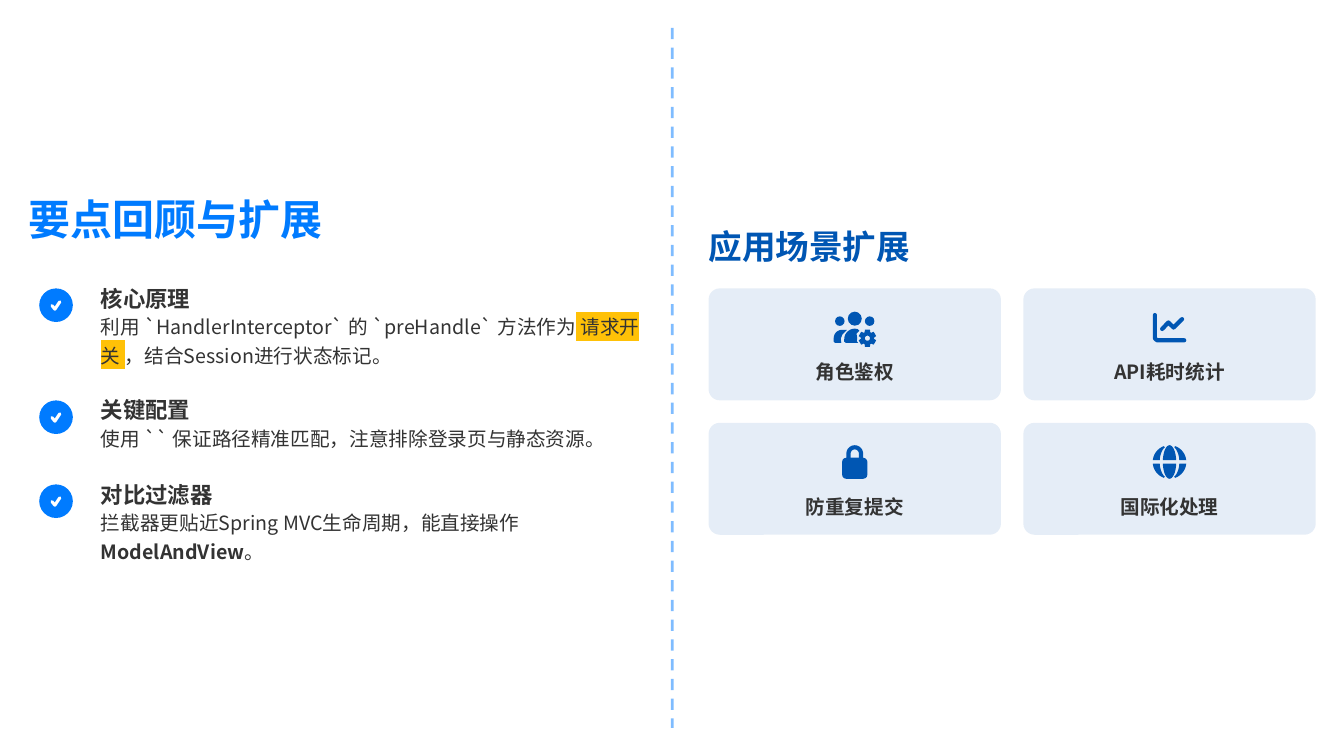
from math import cos, radians, sin

from lxml import etree
from pptx import Presentation
from pptx.dml.color import RGBColor
from pptx.enum.dml import MSO_LINE
from pptx.enum.shapes import MSO_CONNECTOR, MSO_SHAPE
from pptx.enum.text import MSO_ANCHOR, MSO_AUTO_SIZE, PP_ALIGN
from pptx.oxml.ns import qn
from pptx.util import Inches, Pt

BLUE = RGBColor(0x00, 0x7B, 0xFF)
NAVY = RGBColor(0x00, 0x56, 0xB3)
INK = RGBColor(0x33, 0x33, 0x33)
AMBER = RGBColor(0xFF, 0xC1, 0x07)
WHITE = RGBColor(0xFF, 0xFF, 0xFF)
FONT = "Noto Sans CJK SC"
LEFT, CENTER = PP_ALIGN.LEFT, PP_ALIGN.CENTER
MIDDLE, FIXED = MSO_ANCHOR.MIDDLE, MSO_AUTO_SIZE.NONE
OVAL, ROUND = MSO_SHAPE.OVAL, MSO_SHAPE.ROUNDED_RECTANGLE
DASH, STRAIGHT = MSO_LINE.DASH, MSO_CONNECTOR.STRAIGHT

# The grid has 120 columns and 67.5 rows of one unit each
WIDTH, HEIGHT = Inches(13.33), Inches(7.5)
UNIT = HEIGHT / 67.5


def grid(*nums):
    return [round(n * UNIT) for n in nums]


def arc(x, y, rx, ry, start, end, steps=16):
    """Points on an ellipse, from one angle to another in degrees."""
    turns = [radians(start + (end - start) * i / steps) for i in range(steps + 1)]
    return [(x + rx * cos(t), y + ry * sin(t)) for t in turns]


def fade(fill, share):
    color = fill._xPr.find(".//" + qn("a:srgbClr"))
    etree.SubElement(color, qn("a:alpha")).set("val", str(share * 1000))


class Page:
    def __init__(self, deck):
        self.slide = deck.slides.add_slide(deck.slide_layouts[5])
        self.shapes = self.slide.shapes

    def label(self, shape, runs, size, color, bold=False, space=1.0, align=LEFT):
        """Runs are (text, mark) pairs; a mark is "", "bold" or "light"."""
        frame = shape.text_frame
        frame.word_wrap, frame.auto_size = True, FIXED
        frame.vertical_anchor = MIDDLE
        frame.margin_left = frame.margin_right = 0
        frame.margin_top = frame.margin_bottom = 0
        para = frame.paragraphs[0]
        para.alignment, para.line_spacing = align, space
        font = para.font
        font.size, font.name, font.bold = Pt(size), FONT, bold
        font.color.rgb = color
        etree.SubElement(font._element, qn("a:ea")).set("typeface", FONT)
        for text, mark in runs:
            run = para.add_run()
            run.text = text
            if mark == "bold":
                run.font.bold = True
            elif mark == "light":
                light = etree.SubElement(run.font._element, qn("a:highlight"))
                etree.SubElement(light, qn("a:srgbClr")).set("val", str(AMBER))

    def title(self, box, text):
        shape = self.shapes.title
        shape.left, shape.top, shape.width, shape.height = grid(*box)
        self.label(shape, [(text, "")], 30, BLUE, True)

    def text(self, box, runs, size, color=INK, **style):
        if isinstance(runs, str):
            runs = [(runs, "")]
        self.label(self.shapes.add_textbox(*grid(*box)), runs, size, color, **style)

    def paint(self, shape, color):
        shape.shadow.inherit = False
        shape.fill.solid()
        shape.fill.fore_color.rgb = color
        shape.line.fill.background()

    def block(self, kind, box, color, bend=None, share=None):
        shape = self.shapes.add_shape(kind, *grid(*box))
        self.paint(shape, color)
        if bend is not None:
            shape.adjustments[0] = bend
        if share:
            fade(shape.fill, share)

    def trace(self, x, y, loops, close):
        loops = [[grid(x + px, y + py) for px, py in loop] for loop in loops]
        pen = self.shapes.build_freeform(*loops[0][0])
        for i, loop in enumerate(loops):
            if i:
                pen.move_to(*loop[0])
            pen.add_line_segments(loop[1:], close=close)
        return pen.convert_to_shape()

    def form(self, x, y, loops):
        self.paint(self.trace(x, y, loops, True), NAVY)

    def stroke(self, x, y, points, color=NAVY, width=3):
        shape = self.trace(x, y, [points], False)
        shape.shadow.inherit = False
        shape.fill.background()
        shape.line.color.rgb, shape.line.width = color, Pt(width)
        shape.line._ln.set("cap", "rnd")

    def rule(self, x, top, end):
        line = self.shapes.add_connector(STRAIGHT, *grid(x, top, x, end))
        line.line.color.rgb, line.line.width = BLUE, Pt(2)
        line.line.dash_style = DASH
        fade(line.line.fill, 50)
        etree.SubElement(line._element.spPr, qn("a:effectLst"))

    def point(self, y, head, body, rows):
        self.block(OVAL, (3.5, y, 3, 3), BLUE)
        self.stroke(5, y + 1.5, [(-0.36, 0.04), (-0.1, 0.36), (0.34, -0.3)], WHITE, 2.2)
        self.text((9, y - 1, 49, 3), head, 16, bold=True, space=1.3)
        self.text((9, y + 2, 48.9, 2.5 * rows), body, 14, space=1.2)

    def card(self, x, y, icon, name):
        self.block(ROUND, (x, y, 26.1, 10), NAVY, 0.1, 10)
        icon(self, x + 13.05, y + 2)
        self.text((x + 1.05, y + 6, 24, 2.5), name, 14, bold=True, space=1.2, align=CENTER)


# Icons: x is the middle, y the top
def users(page, x, y):
    for mid, top, size in ((0, 0.08, 1.25), (-1.33, 0.5, 0.85), (1.33, 0.5, 0.85)):
        page.block(OVAL, (x + mid - size / 2, y + top, size, size), NAVY)
    side = arc(-1.13, 2.45, 0.75, 0.75, 180, 270)
    side += [(-0.7, 1.7), (-1.1, 2.1), (-1.25, 2.5), (-1.2, 2.87), (-1.75, 2.87), (-1.88, 2.75)]
    body = arc(0, 2.54, 0.94, 0.94, 180, 285)
    body += [(0.42, 1.78), (0.16, 2.05), (0.22, 2.45), (0.18, 2.7), (0.3, 2.87), (-0.8, 2.87), (-0.94, 2.75)]
    gear = []
    for tooth in range(30, 390, 60):
        for turn, size in ((-26, 0.58), (-16, 0.8), (16, 0.8), (26, 0.58)):
            gear += arc(1.13, 2.45, size, size, tooth + turn, tooth + turn, 1)[:1]
    page.form(x, y, [side, body, gear, arc(1.13, 2.45, 0.23, 0.23, 360, 0)])


def chart(page, x, y):
    page.stroke(x, y, [(-1.31, 0.38), (-1.31, 2.45), (-1.12, 2.63), (1.31, 2.63)])
    page.stroke(x, y, [(-0.66, 1.63), (-0.1, 1.05), (0.36, 1.5), (1.12, 0.75)])


def lock(page, x, y):
    page.block(ROUND, (x - 1.13, y + 1.12, 2.26, 1.88), NAVY, 0.2)
    page.stroke(x, y, [(-0.56, 1.3), *arc(0, 0.75, 0.56, 0.56, 180, 360), (0.56, 1.3)])


def globe(page, x, y):
    loops = []
    for down in (-1, 1):
        loops.append(arc(0, 1.5, 0.6, 1.5 * down, 6, 174))
        for side in (-1, 1):
            rim = arc(0, 1.5, 1.5 * side, 1.5 * down, 6, 70)
            loops.append(rim + arc(0, 1.5, 0.88 * side, 1.5 * down, 62, 6))
    page.form(x, y, loops)


POINTS = [
    (25.75, "核心原理", [("利用 `HandlerInterceptor` 的 `preHandle` 方法作为", ""),
                     (" 请求开关 ", "light"), ("，结合Session进行状态标记。", "")], 2),
    (35.75, "关键配置", "使用 `` 保证路径精准匹配，注意排除登录页与静态资源。", 1),
    (43.25, "对比过滤器", [("拦截器更贴近Spring MVC生命周期，能直接操作", ""),
                      ("ModelAndView", "bold"), ("。", "")], 2),
]
CARDS = [(users, "角色鉴权"), (chart, "API耗时统计"), (lock, "防重复提交"), (globe, "国际化处理")]


def main():
    deck = Presentation()
    deck.slide_width, deck.slide_height = WIDTH, HEIGHT
    page = Page(deck)

    # Left half: review
    page.title((2.5, 17.25, 56.3, 4.5), "要点回顾与扩展")
    for item in POINTS:
        page.point(*item)

    page.rule(60, 2.5, 65)

    # Right half: uses
    page.text((63.25, 19.75, 55.7, 4), "应用场景扩展", 24, NAVY, bold=True, space=1.1)
    for i, (icon, name) in enumerate(CARDS):
        row, col = divmod(i, 2)
        page.card(63.25 + 28.1 * col, 25.75 + 12 * row, icon, name)

    deck.save("out.pptx")


if __name__ == "__main__":
    main()
